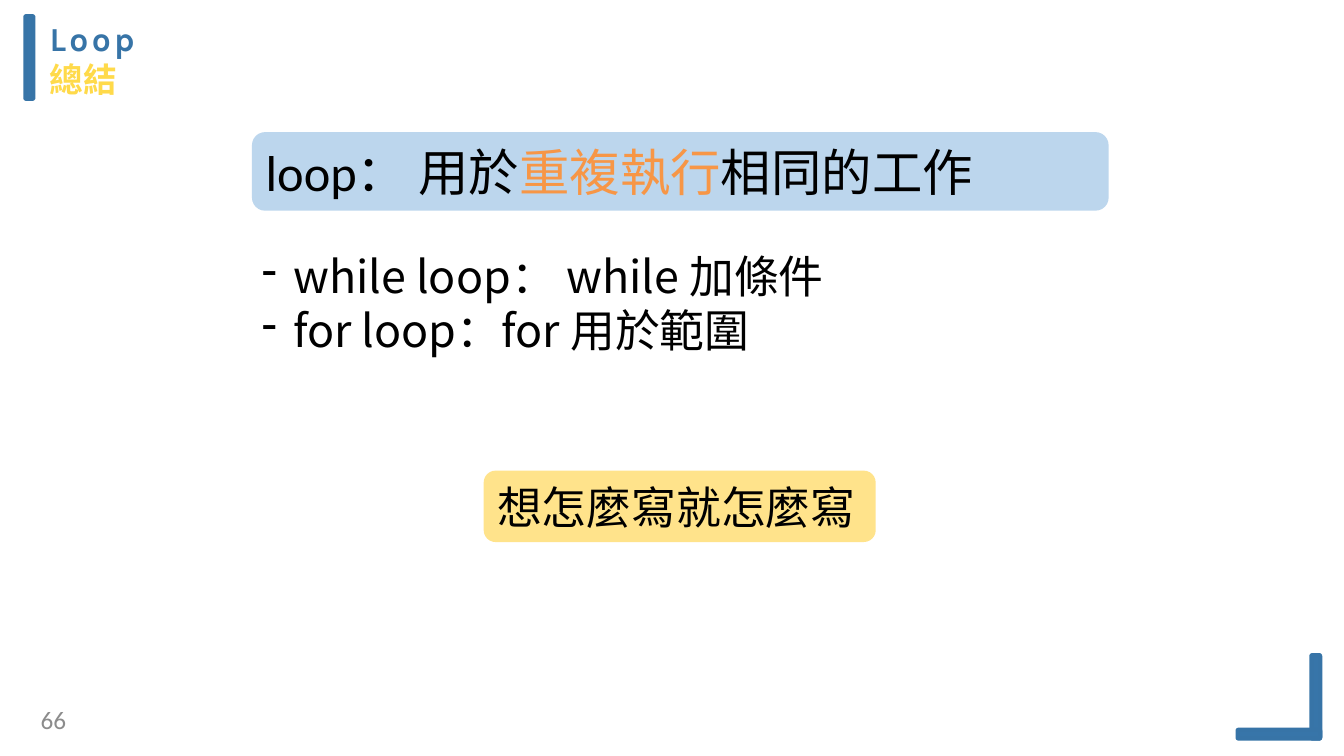
import dataclasses

import pptx
import pptx.dml.color
import pptx.enum.shapes
import pptx.enum.text
import pptx.oxml.ns
import pptx.util
from lxml import etree

Cm = pptx.util.Cm
Pt = pptx.util.Pt
Color = pptx.dml.color.RGBColor.from_string
Shape = pptx.enum.shapes.MSO_SHAPE
qn = pptx.oxml.ns.qn


@dataclasses.dataclass(frozen=True)
class Theme:
    blue: str = "3775A9"
    title_blue: str = "3774A7"
    yellow: str = "FFDA4A"
    pale_blue: str = "BCD6ED"
    pale_yellow: str = "FFE38B"
    orange: str = "F79646"
    black: str = "000000"
    gray: str = "8C8C8C"
    cjk: str = "Noto Sans CJK SC"
    title_font: str = "Karla"
    plain_font: str = "Calibri"
    number_size: int = 18
    title_size: int = 24
    body_size: int = 32
    lead_size: int = 36


theme = Theme()


def add_span(para, text, size, color, font=theme.cjk, bold=False, spacing=0):
    """Add a run, with letter spacing in hundredths of a point."""
    span = para.add_run()
    span.text = text
    formats = {"size": Pt(size), "bold": bold, "name": font}
    for name, value in formats.items():
        setattr(span.font, name, value)
    span.font.color.rgb = Color(color)
    properties = span.font._element
    if spacing:
        properties.set("spc", str(spacing))
    etree.SubElement(properties, qn("a:ea")).set("typeface", theme.cjk)


def prepare_frame(shape, sides=0.25, ends=0.13, anchor=pptx.enum.text.MSO_ANCHOR.TOP):
    """Set wrapping, insets in cm and anchor, and return the text frame."""
    frame = shape.text_frame
    formats = {
        "word_wrap": True,
        "vertical_anchor": anchor,
        "margin_left": Cm(sides),
        "margin_right": Cm(sides),
        "margin_top": Cm(ends),
        "margin_bottom": Cm(ends),
    }
    for name, value in formats.items():
        setattr(frame, name, value)
    return frame


deck = pptx.Presentation()
deck.slide_width, deck.slide_height = Cm(33.87), Cm(19.05)
page = deck.slides.add_slide(deck.slide_layouts[6])

# Title
title_box = page.shapes.add_textbox(Cm(1.22), Cm(0.41), Cm(11.48), Cm(2.13))
title = prepare_frame(title_box, sides=0, ends=0.03)
title_lines = [
    ("Loop", theme.title_blue, theme.title_font, 240),
    ("總結", theme.yellow, theme.cjk, 60),
]
for index, (text, color, font, spacing) in enumerate(title_lines):
    para = title.add_paragraph() if index else title.paragraphs[0]
    para.space_before = Pt(1)
    para._p.get_or_add_pPr().set("marL", str(Cm(0.03)))
    add_span(para, text, theme.title_size, color, font, True, spacing)

# Title bar and corner bracket
bars = [
    (0.64, 0.41, 0.2, 2.08),
    (33.05, 16.51, 0.22, 2.1),
    (31.19, 18.39, 2.08, 0.22),
]
for place in bars:
    bar = page.shapes.add_shape(Shape.ROUNDED_RECTANGLE, *map(Cm, place))
    bar.shadow.inherit = False
    bar.adjustments[0] = 0.1
    bar.fill.solid()
    bar.fill.fore_color.rgb = Color(theme.blue)
    bar.line.color.rgb = Color(theme.title_blue)
    bar.line.width = Pt(3)

# Page number
number_box = page.shapes.add_textbox(Cm(0.2), Cm(17.75), Cm(1.47), Cm(0.76))
para = prepare_frame(number_box, sides=0, ends=0).paragraphs[0]
para.alignment = pptx.enum.text.PP_ALIGN.RIGHT
add_span(para, "66", theme.number_size, theme.gray, theme.plain_font)

# Kinds of loop
list_box = page.shapes.add_textbox(Cm(6.35), Cm(6.15), Cm(24), Cm(3))
loop_list = prepare_frame(list_box)
for index, text in enumerate(["while loop： while 加條件", "for loop：for 用於範圍"]):
    para = loop_list.add_paragraph() if index else loop_list.paragraphs[0]
    properties = para._p.get_or_add_pPr()
    properties.set("marL", str(Cm(0.79)))
    properties.set("indent", str(-Cm(0.79)))
    bullet_color = etree.SubElement(properties, qn("a:buClr"))
    etree.SubElement(bullet_color, qn("a:srgbClr")).set("val", theme.black)
    etree.SubElement(properties, qn("a:buChar")).set("char", "-")
    add_span(para, text, theme.body_size, theme.black)

# Highlighted statements
statements = [
    ((6.35, 3.33, 21.59, 1.98), theme.pale_blue, theme.lead_size, [
        ("loop： ", theme.black, theme.plain_font),
        ("用於", theme.black, theme.cjk),
        ("重複執行", theme.orange, theme.cjk),
        ("相同的工作", theme.black, theme.cjk),
    ]),
    ((12.19, 11.86, 9.88, 1.8), theme.pale_yellow, theme.body_size, [
        ("想怎麼寫就怎麼寫", theme.black, theme.cjk),
    ]),
]
for place, fill, size, spans in statements:
    box = page.shapes.add_shape(Shape.ROUNDED_RECTANGLE, *map(Cm, place))
    box.shadow.inherit = False
    box.fill.solid()
    box.fill.fore_color.rgb = Color(fill)
    box.line.fill.background()
    frame = prepare_frame(box, anchor=pptx.enum.text.MSO_ANCHOR.MIDDLE)
    para = frame.paragraphs[0]
    para.alignment = pptx.enum.text.PP_ALIGN.LEFT
    for text, color, font in spans:
        add_span(para, text, size, color, font)

deck.save("out.pptx")
